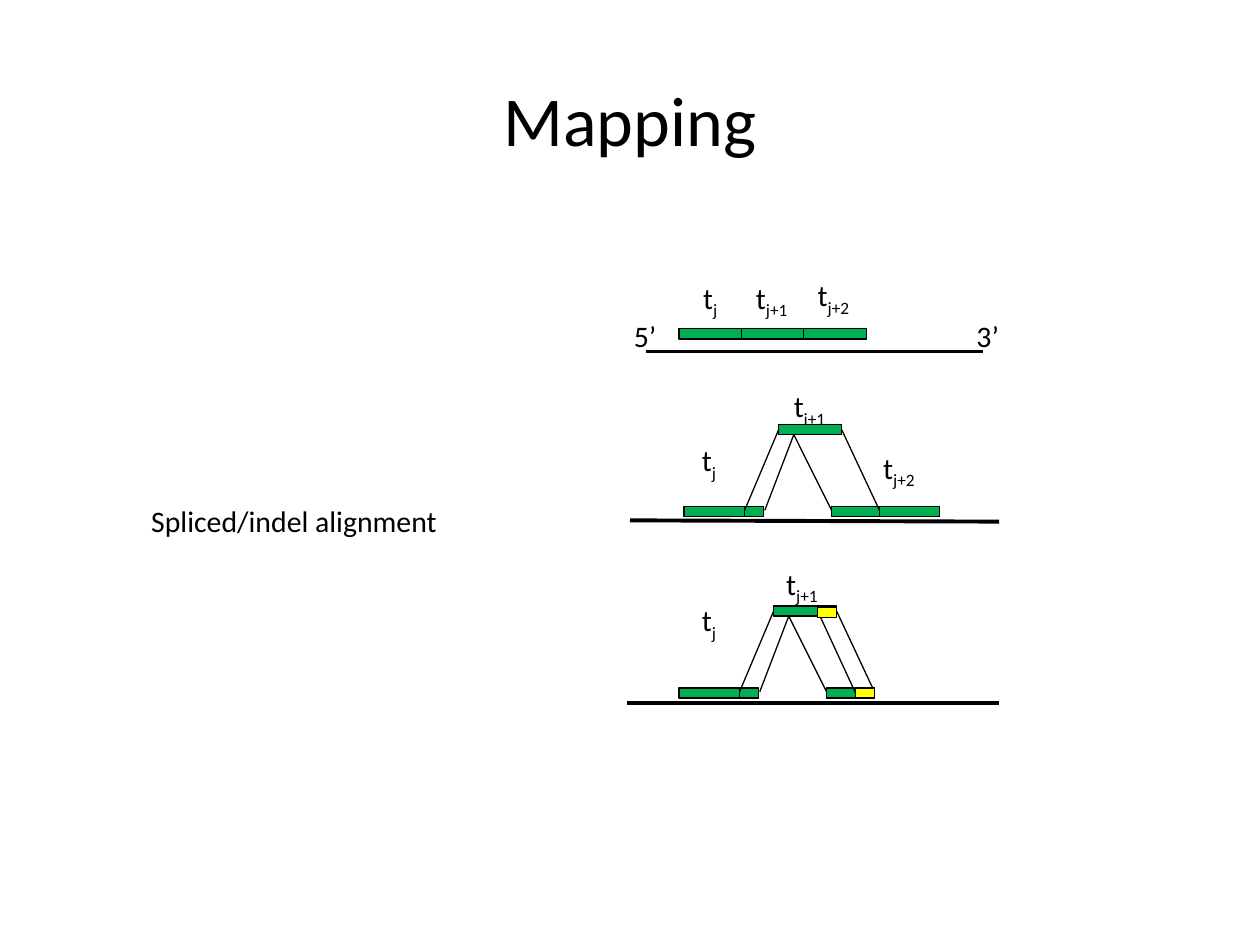
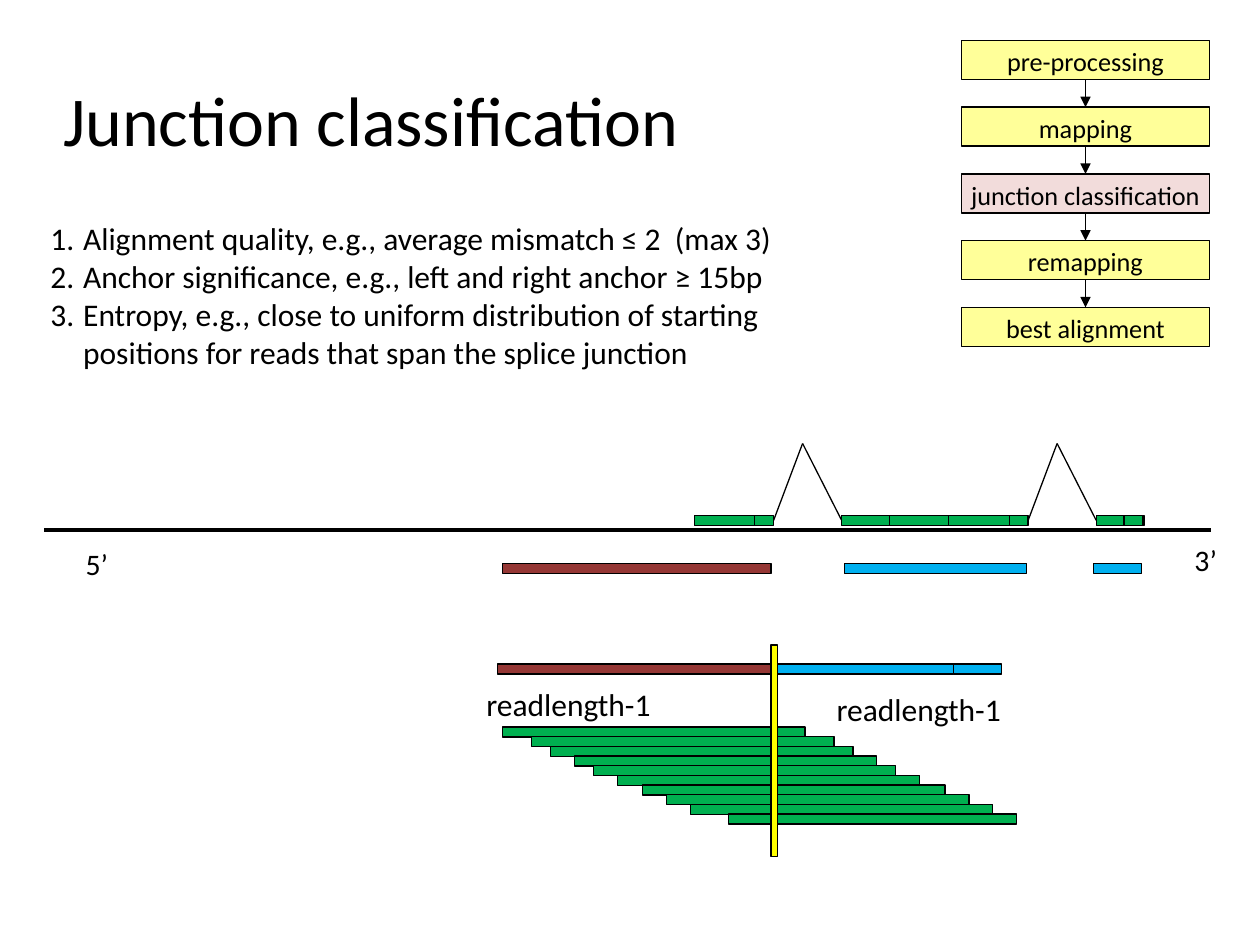
import dataclasses
import typing

import lxml.etree
import pptx
import pptx.dml.color
import pptx.enum.shapes
import pptx.enum.text
import pptx.oxml.ns
import pptx.slide
import pptx.text.text
import pptx.util

Inches = pptx.util.Inches
RGBColor = pptx.dml.color.RGBColor
Align = pptx.enum.text.PP_ALIGN
Anchor = pptx.enum.text.MSO_ANCHOR
qn = pptx.oxml.ns.qn

BLACK = RGBColor(0x00, 0x00, 0x00)
GREEN = RGBColor(0x00, 0xB0, 0x50)
YELLOW = RGBColor(0xFF, 0xFF, 0x00)
BROWN = RGBColor(0x95, 0x37, 0x35)
BLUE = RGBColor(0x00, 0xB0, 0xF0)
STEP_YELLOW = RGBColor(0xFF, 0xFF, 0x99)
STEP_PINK = RGBColor(0xF2, 0xDC, 0xDB)

FONT = "Calibri"
BAR_HEIGHT = 0.08
THIN = 0.75
THICK = 2.25


@dataclasses.dataclass(frozen=True)
class Bar:
    left: float
    top: float
    width: float
    color: RGBColor = GREEN
    height: float = BAR_HEIGHT


@dataclasses.dataclass(frozen=True)
class Line:
    x1: float
    y1: float
    x2: float
    y2: float
    weight: float = THIN
    arrow: bool = False


@dataclasses.dataclass(frozen=True)
class Label:
    left: float
    top: float
    width: float
    text: str
    subscript: str = ""
    size: float = 17


def add_run(paragraph: typing.Any, text: str, size: float, subscript: bool = False) -> None:
    run = paragraph.add_run()
    run.text = text
    run.font.name = FONT
    run.font.size = pptx.util.Pt(size)
    run.font.color.rgb = BLACK
    if subscript:
        run._r.get_or_add_rPr().set("baseline", "-25000")


def set_margins(frame: pptx.text.text.TextFrame, side: float, top: float, bottom: float) -> None:
    frame.margin_left = frame.margin_right = Inches(side)
    frame.margin_top, frame.margin_bottom = Inches(top), Inches(bottom)


def add_titled_slide(presentation: typing.Any, text: str, alignment: Align) -> pptx.slide.Slide:
    slide = presentation.slides.add_slide(presentation.slide_layouts[5])
    title = slide.shapes.title
    title.left, title.top = Inches(0.5), Inches(0.34)
    title.width, title.height = Inches(9), Inches(1.16)
    frame = title.text_frame
    frame.auto_size = pptx.enum.text.MSO_AUTO_SIZE.NONE
    frame.vertical_anchor = Anchor.MIDDLE
    set_margins(frame, 0, 0.04, 0)
    frame.paragraphs[0].alignment = alignment
    add_run(frame.paragraphs[0], text, 40)
    return slide


def add_text_frame(
    slide: pptx.slide.Slide, left: float, top: float, width: float, height: float
) -> pptx.text.text.TextFrame:
    box = slide.shapes.add_textbox(Inches(left), Inches(top), Inches(width), Inches(height))
    box.text_frame.word_wrap = True
    set_margins(box.text_frame, 0.09, 0.05, 0.05)
    return box.text_frame


def add_labels(slide: pptx.slide.Slide, labels: typing.Iterable[Label]) -> None:
    for label in labels:
        frame = add_text_frame(slide, label.left, label.top, label.width, 0.38)
        add_run(frame.paragraphs[0], label.text, label.size)
        if label.subscript:
            add_run(frame.paragraphs[0], label.subscript, label.size, subscript=True)


def add_bar(slide: pptx.slide.Slide, bar: Bar) -> typing.Any:
    shape = slide.shapes.add_shape(
        pptx.enum.shapes.MSO_SHAPE.RECTANGLE,
        Inches(bar.left), Inches(bar.top), Inches(bar.width), Inches(bar.height),
    )
    shape.shadow.inherit = False
    shape.fill.solid()
    shape.fill.fore_color.rgb = bar.color
    shape.line.color.rgb = BLACK
    shape.line.width = pptx.util.Pt(THIN)
    return shape


def add_bars(slide: pptx.slide.Slide, bars: typing.Iterable[Bar]) -> None:
    for bar in bars:
        add_bar(slide, bar)


def add_lines(slide: pptx.slide.Slide, lines: typing.Iterable[Line]) -> None:
    for line in lines:
        connector = slide.shapes.add_connector(
            pptx.enum.shapes.MSO_CONNECTOR.STRAIGHT,
            Inches(line.x1), Inches(line.y1), Inches(line.x2), Inches(line.y2),
        )
        connector.line.color.rgb = BLACK
        connector.line.width = pptx.util.Pt(line.weight)
        properties = connector.element.spPr
        if line.arrow:
            outline = properties.find(qn("a:ln"))
            lxml.etree.SubElement(outline, qn("a:tailEnd"), type="triangle")
        lxml.etree.SubElement(properties, qn("a:effectLst"))


def add_spliced_read(slide: pptx.slide.Slide, left: float, top: float) -> None:
    add_bars(slide, [
        Bar(left, top, 0.5),
        Bar(left + 0.75, top - 0.65, 0.5),
        Bar(left + 0.48, top, 0.15),
        Bar(left + 1.17, top, 0.38),
    ])
    shoulder, peak, foot = top - 0.61, top - 0.57, top + 0.03
    add_lines(slide, [
        Line(left + 0.75, shoulder, left + 0.48, foot),
        Line(left + 0.87, peak, left + 0.64, foot),
        Line(left + 0.87, peak, left + 1.17, foot),
        Line(left + 1.25, shoulder, left + 1.55, foot),
    ])


def build_mapping_slide(presentation: typing.Any) -> None:
    slide = add_titled_slide(presentation, "Mapping", Align.CENTER)
    add_lines(slide, [
        Line(5.13, 2.79, 7.8, 2.79, THICK),
        Line(5, 4.13, 7.93, 4.14, THICK),
        Line(4.98, 5.58, 7.93, 5.58, THICK),
    ])
    add_labels(slide, [
        Label(5.49, 2.17, 0.41, "t", "j"),
        Label(5.91, 2.17, 0.7, "t", "j+1"),
        Label(6.4, 2.15, 0.7, "t", "j+2"),
        Label(4.94, 2.47, 0.5, "5’"),
        Label(7.66, 2.47, 0.5, "3’"),
        Label(5.48, 3.46, 0.43, "t", "j"),
        Label(6.21, 3.03, 0.8, "t", "j+1"),
        Label(6.92, 3.52, 0.7, "t", "j+2"),
        Label(5.48, 4.73, 0.7, "t", "j"),
        Label(6.15, 4.44, 0.9, "t", "j+1"),
        Label(1.11, 3.94, 2.63, "Spliced/indel alignment"),
    ])
    add_bars(slide, [Bar(5.39 + 0.495 * index, 2.61, 0.5) for index in range(3)])
    add_bar(slide, Bar(6.96, 4.02, 0.5))
    add_spliced_read(slide, 5.43, 4.02)
    add_spliced_read(slide, 5.39, 5.46)
    add_lines(slide, [Line(6.49, 4.85, 6.79, 5.5)])
    add_bars(slide, [Bar(6.49, 4.82, 0.15, YELLOW), Bar(6.79, 5.46, 0.15, YELLOW)])


def add_criteria(slide: pptx.slide.Slide) -> None:
    criteria = [
        "Alignment quality, e.g., average mismatch ≤ 2  (max 3)",
        "Anchor significance, e.g., left and right anchor ≥ 15bp",
        "Entropy, e.g., close to uniform distribution of starting positions "
        "for reads that span the splice junction",
    ]
    frame = add_text_frame(slide, 0.31, 1.69, 6.29, 1.59)
    for index, criterion in enumerate(criteria):
        paragraph = frame.add_paragraph() if index else frame.paragraphs[0]
        add_run(paragraph, criterion, 18)
        properties = paragraph._p.get_or_add_pPr()
        properties.set("marL", str(Inches(0.26)))
        properties.set("indent", str(Inches(-0.26)))
        lxml.etree.SubElement(properties, qn("a:buFont"), typeface=FONT)
        lxml.etree.SubElement(properties, qn("a:buAutoNum"), type="arabicPeriod")


def add_pipeline(slide: pptx.slide.Slide) -> None:
    steps = ["pre-processing", "mapping", "junction classification", "remapping", "best alignment"]
    current_step = "junction classification"
    left, width, height, pitch = 7.63, 1.97, 0.31, 0.53
    center = left + width / 2
    for index, step in enumerate(steps):
        top = 0.32 + index * pitch
        color = STEP_PINK if step == current_step else STEP_YELLOW
        frame = add_bar(slide, Bar(left, top, width, color, height)).text_frame
        frame.word_wrap = False
        frame.vertical_anchor = Anchor.MIDDLE
        set_margins(frame, 0.1, 0.07, 0.05)
        frame.paragraphs[0].alignment = Align.CENTER
        add_run(frame.paragraphs[0], step, 15)
        if index:
            add_lines(slide, [Line(center, top - pitch + height, center, top, arrow=True)])


def build_junction_slide(presentation: typing.Any) -> None:
    slide = add_titled_slide(presentation, "Junction classification", Align.LEFT)
    add_criteria(slide)
    add_lines(slide, [Line(0.35, 4.21, 9.61, 4.21, THICK)])
    add_labels(slide, [Label(9.39, 4.25, 0.5, "3’"), Label(0.59, 4.28, 0.5, "5’")])

    exon_pieces = [
        (5.51, 0.5), (7.03, 0.5), (7.53, 0.5), (5.99, 0.15),
        (6.68, 0.38), (8.01, 0.15), (8.7, 0.38), (8.92, 0.15),
    ]
    add_bars(slide, [Bar(left, 4.09, width) for left, width in exon_pieces])
    for peak in (6.37, 8.39):
        add_lines(slide, [
            Line(peak, 3.52, peak - 0.23, 4.13),
            Line(peak, 3.52, peak + 0.31, 4.13),
        ])

    add_bars(slide, [
        Bar(3.99, 4.47, 2.13, BROWN),
        Bar(6.7, 4.47, 1.45, BLUE),
        Bar(8.68, 4.47, 0.38, BLUE),
        Bar(3.95, 5.27, 2.17, BROWN),
        Bar(6.12, 5.27, 1.45, BLUE),
        Bar(7.57, 5.27, 0.38, BLUE),
    ])
    add_labels(slide, [
        Label(3.77, 5.39, 1.71, "readlength-1", size=18),
        Label(6.55, 5.43, 1.71, "readlength-1", size=18),
    ])

    read_starts = [3.99, 4.22, 4.37, 4.56, 4.71, 4.9, 5.1, 5.29, 5.48, 5.78]
    read_widths = [2.4] * 9 + [2.29]
    for index, (left, width) in enumerate(zip(read_starts, read_widths)):
        add_bar(slide, Bar(left, 5.77 + index * 0.69 / 9, width))
    add_bar(slide, Bar(6.12, 5.12, 0.05, YELLOW, 1.68))
    add_pipeline(slide)


def main() -> None:
    presentation = pptx.Presentation()
    presentation.slide_width = Inches(10)
    presentation.slide_height = Inches(7.5)
    build_mapping_slide(presentation)
    build_junction_slide(presentation)
    presentation.save("out.pptx")


if __name__ == "__main__":
    main()
